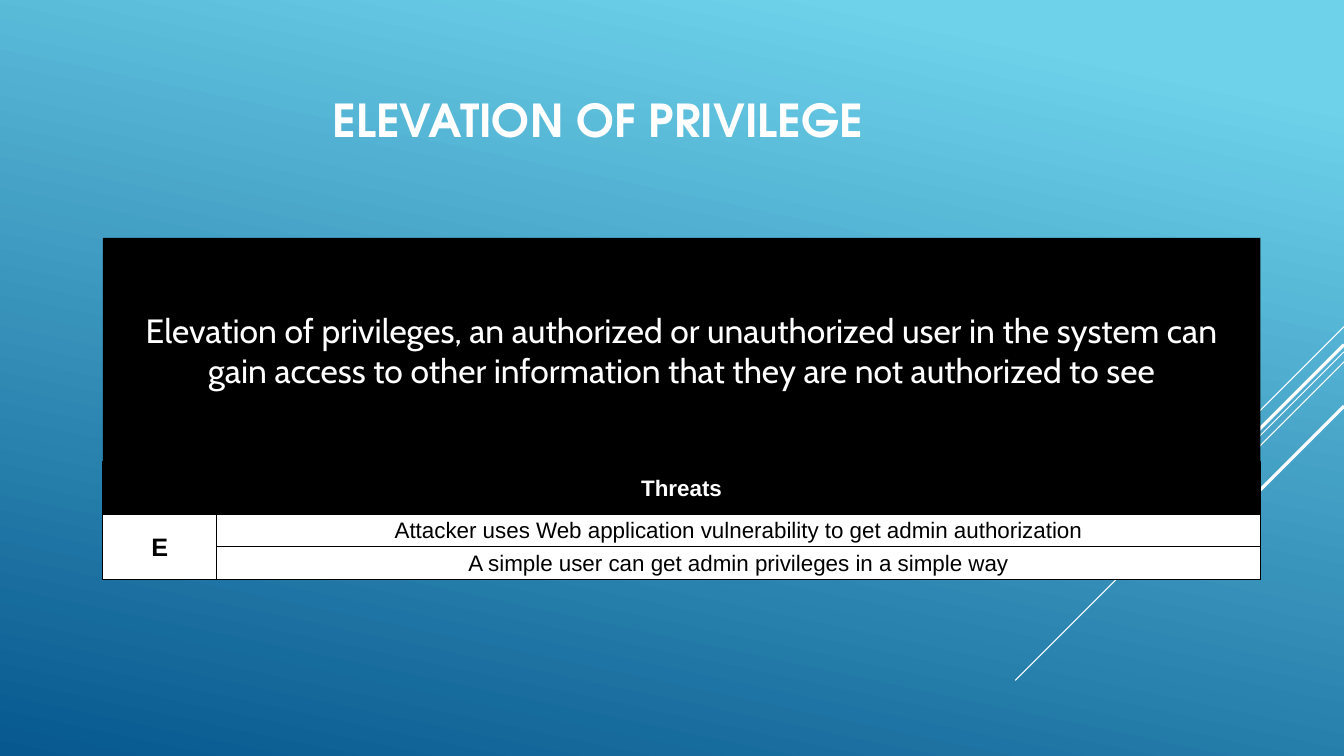
from dataclasses import dataclass

from lxml import etree
from pptx import Presentation
from pptx.dml.color import RGBColor
from pptx.enum import shapes, text
from pptx.oxml import ns
from pptx.util import Inches, Pt

TITLE = "ELEVATION OF PRIVILEGE"
DEFINITION = (
    "Elevation of privileges, an authorized or unauthorized user in the system can "
    "gain access to other information that they are not authorized to see"
)
THREATS_HEADING = "Threats"
THREAT_LETTER = "E"
THREATS = [
    "Attacker uses Web application vulnerability to get admin authorization",
    "A simple user can get admin privileges in a simple way",
]
RAYS = [
    (3.24, 1, 0.75),
    (3.49, 3.26, 0.75),
    (3.59, 2.08, 0.75),
    (3.42, 1.91, 2.25),
    (4.03, 1.39, 2.25),
]
SLIDE_WIDTH, SLIDE_HEIGHT = 13.33, 7.5
PANEL_LEFT, PANEL_TOP, PANEL_HEIGHT = 1.02, 2.36, 2.22
COLUMN_WIDTHS = [1.13, 10.35]
ROW_HEIGHTS = [0.52, 0.32, 0.33]


@dataclass(frozen=True)
class Theme:
    white: str = "FFFFFF"
    black: str = "000000"
    sky: str = "6ED2EB"
    ocean: str = "06588E"
    title_font: str = "TeX Gyre Adventor"
    body_font: str = "Cabin"
    table_font: str = "Arial"
    title_size: float = 32.4
    body_size: float = 24
    letter_size: float = 18
    table_size: float = 16
    border: float = 1
    divider: float = 0.5


theme = Theme()


def color(value):
    return RGBColor.from_string(value)


def write(frame, words, font, size, ink, bold=False, align=text.PP_ALIGN.CENTER):
    frame.text = words
    frame.word_wrap = True
    paragraph = frame.paragraphs[0]
    paragraph.alignment = align
    paragraph.font.name = font
    paragraph.font.size = Pt(size)
    paragraph.font.bold = bold
    paragraph.font.color.rgb = color(ink)


def paint_background(slide):
    fill = slide.background.fill
    fill.gradient()
    fill.gradient_angle = 360 - 102
    stops = [(0.1, theme.sky), (1, theme.ocean)]
    for stop, (position, tint) in zip(fill.gradient_stops, stops):
        stop.position = position
        stop.color.rgb = color(tint)


def draw_rays(slide):
    for top, reach, weight in RAYS:
        ray = slide.shapes.add_connector(
            shapes.MSO_CONNECTOR.STRAIGHT,
            Inches(SLIDE_WIDTH), Inches(top),
            Inches(SLIDE_WIDTH - reach), Inches(top + reach),
        )
        ray.line.color.rgb = color(theme.white)
        ray.line.width = Pt(weight)
        etree.SubElement(ray._element.spPr, ns.qn("a:effectLst"))


def set_title(slide):
    title = slide.shapes.title
    title.left, title.top = Inches(3.2), Inches(0.69)
    title.width, title.height = Inches(5.72), Inches(0.99)
    frame = title.text_frame
    write(frame, TITLE, theme.title_font, theme.title_size, theme.white, True,
          text.PP_ALIGN.LEFT)
    frame.auto_size = text.MSO_AUTO_SIZE.NONE
    frame.vertical_anchor = text.MSO_ANCHOR.MIDDLE


def add_definition(slide):
    panel = slide.shapes.add_shape(
        shapes.MSO_SHAPE.RECTANGLE, Inches(PANEL_LEFT), Inches(PANEL_TOP),
        Inches(sum(COLUMN_WIDTHS)), Inches(PANEL_HEIGHT),
    )
    panel.shadow.inherit = False
    panel.fill.solid()
    panel.fill.fore_color.rgb = color(theme.black)
    panel.line.fill.background()
    write(panel.text_frame, DEFINITION, theme.body_font, theme.body_size, theme.white)
    panel.text_frame.vertical_anchor = text.MSO_ANCHOR.MIDDLE


def add_borders(cell, weights):
    properties = cell._tc.get_or_add_tcPr()
    for index, (side, weight) in enumerate(weights.items()):
        edge = etree.Element(ns.qn(f"a:ln{side}"), w=str(Pt(weight)))
        ink = etree.SubElement(edge, ns.qn("a:solidFill"))
        etree.SubElement(ink, ns.qn("a:srgbClr"), val=theme.black)
        properties.insert(index, edge)


def style_cell(cell, row, column):
    cell.fill.solid()
    cell.fill.fore_color.rgb = color(theme.white if row else theme.black)
    cell.vertical_anchor = text.MSO_ANCHOR.MIDDLE
    cell.margin_left = cell.margin_right = cell.margin_top = Inches(0.01)
    cell.margin_bottom = 0
    weights = dict.fromkeys("LRTB", theme.border)
    if column and row > 1:
        weights["T"] = theme.divider
    if column and 0 < row < len(THREATS):
        weights["B"] = theme.divider
    add_borders(cell, weights)


def add_threats(slide):
    table = slide.shapes.add_table(
        len(ROW_HEIGHTS), len(COLUMN_WIDTHS),
        Inches(PANEL_LEFT), Inches(PANEL_TOP + PANEL_HEIGHT),
        Inches(sum(COLUMN_WIDTHS)), Inches(sum(ROW_HEIGHTS)),
    ).table
    table.first_row = table.horz_banding = False
    for column, width in zip(table.columns, COLUMN_WIDTHS):
        column.width = Inches(width)
    for row, height in zip(table.rows, ROW_HEIGHTS):
        row.height = Inches(height)
    for row in range(len(ROW_HEIGHTS)):
        for column in range(len(COLUMN_WIDTHS)):
            style_cell(table.cell(row, column), row, column)
    heading, letter = table.cell(0, 0), table.cell(1, 0)
    heading.merge(table.cell(0, 1))
    letter.merge(table.cell(len(THREATS), 0))
    write(heading.text_frame, THREATS_HEADING, theme.table_font, theme.table_size,
          theme.white, True)
    write(letter.text_frame, THREAT_LETTER, theme.table_font, theme.letter_size,
          theme.black, True)
    for row, threat in enumerate(THREATS, 1):
        write(table.cell(row, 1).text_frame, threat, theme.table_font,
              theme.table_size, theme.black)


def main():
    deck = Presentation()
    deck.slide_width, deck.slide_height = Inches(SLIDE_WIDTH), Inches(SLIDE_HEIGHT)
    slide = deck.slides.add_slide(deck.slide_layouts.get_by_name("Title Only"))
    paint_background(slide)
    draw_rays(slide)
    set_title(slide)
    add_definition(slide)
    add_threats(slide)
    deck.save("out.pptx")


if __name__ == "__main__":
    main()
